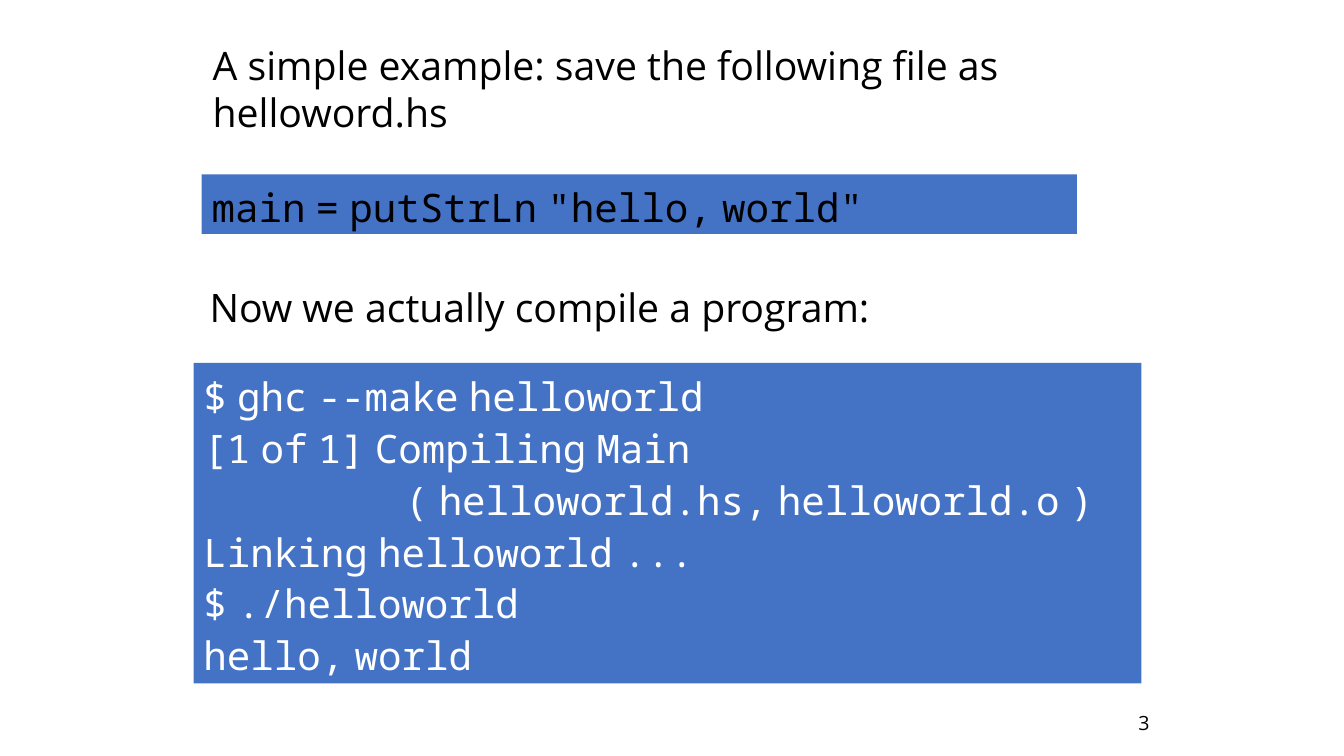
"""Build the slide that compiles and runs a hello world program."""
from pptx import Presentation
from pptx.dml.color import RGBColor
from pptx.enum.shapes import MSO_SHAPE
from pptx.enum.text import MSO_ANCHOR, MSO_AUTO_SIZE, PP_ALIGN
from pptx.util import Inches, Pt

BLACK = RGBColor(0x00, 0x00, 0x00)
WHITE = RGBColor(0xFF, 0xFF, 0xFF)
BLUE = RGBColor(0x44, 0x72, 0xC4)
SANS, MONO = "Open Sans", "Noto Sans Mono"
NBSP = "\u00a0"


def write(sp, lines, font, size, color=BLACK, align=PP_ALIGN.LEFT, spacing=1.0):
    tf = sp.text_frame
    frame = {"word_wrap": True, "auto_size": MSO_AUTO_SIZE.NONE,
             "vertical_anchor": MSO_ANCHOR.MIDDLE}
    for name, value in frame.items():
        setattr(tf, name, value)
    for i, line in enumerate(lines):
        p = tf.paragraphs[0] if i == 0 else tf.add_paragraph()
        p.alignment, p.line_spacing = align, spacing
        pieces = line.replace(NBSP, f"\n{NBSP}\n").split("\n")
        for piece in pieces:
            r = p.add_run()
            r.text = piece
            r.font.name = SANS if piece == NBSP else font
            r.font.size = Pt(size)
            r.font.color.rgb = color


prs = Presentation()
prs.slide_width, prs.slide_height = Inches(13.33), Inches(7.5)
slide = prs.slides.add_slide(prs.slide_layouts[5])

title = slide.shapes.title
place = {"left": 2.01, "top": 0.36, "width": 9.31, "height": 1.03}
for name, value in place.items():
    setattr(title, name, Inches(value))
write(title, ["A simple example: save the following file as helloword.hs"], SANS, 28)

captions = [
    ((1.98, 2.76, 9.31, 0.57), "Now we actually compile a program:", 28, PP_ALIGN.LEFT),
    ((10.83, 7, 0.67, 0.33), "3", 14, PP_ALIGN.RIGHT),
]
for box, text, size, align in captions:
    sp = slide.shapes.add_textbox(*map(Inches, box))
    write(sp, [text], SANS, size, align=align)

source = ['main = putStrLn "hello, world"']
session = [
    "$ ghc --make helloworld",
    "[1 of 1] Compiling Main",
    "( helloworld.hs, helloworld.o )",
    "Linking helloworld ...",
    "$ ./helloworld",
    "hello, world",
]
code_boxes = [
    ((2, 1.73, 8.68, 0.59), source, BLACK),
    ((1.92, 3.6, 9.4, 3.18), session, WHITE),
]
for box, lines, color in code_boxes:
    sp = slide.shapes.add_shape(MSO_SHAPE.RECTANGLE, *map(Inches, box))
    sp.shadow.inherit = False
    sp.fill.solid()
    sp.fill.fore_color.rgb = BLUE
    sp.line.fill.background()
    write(sp, [line.replace(" ", NBSP) for line in lines], MONO, 28, color, spacing=1.1)
    for p, line in zip(sp.text_frame.paragraphs, lines):
        if line.startswith("("):
            p._p.get_or_add_pPr().set("marL", str(Inches(2)))

prs.save("out.pptx")
